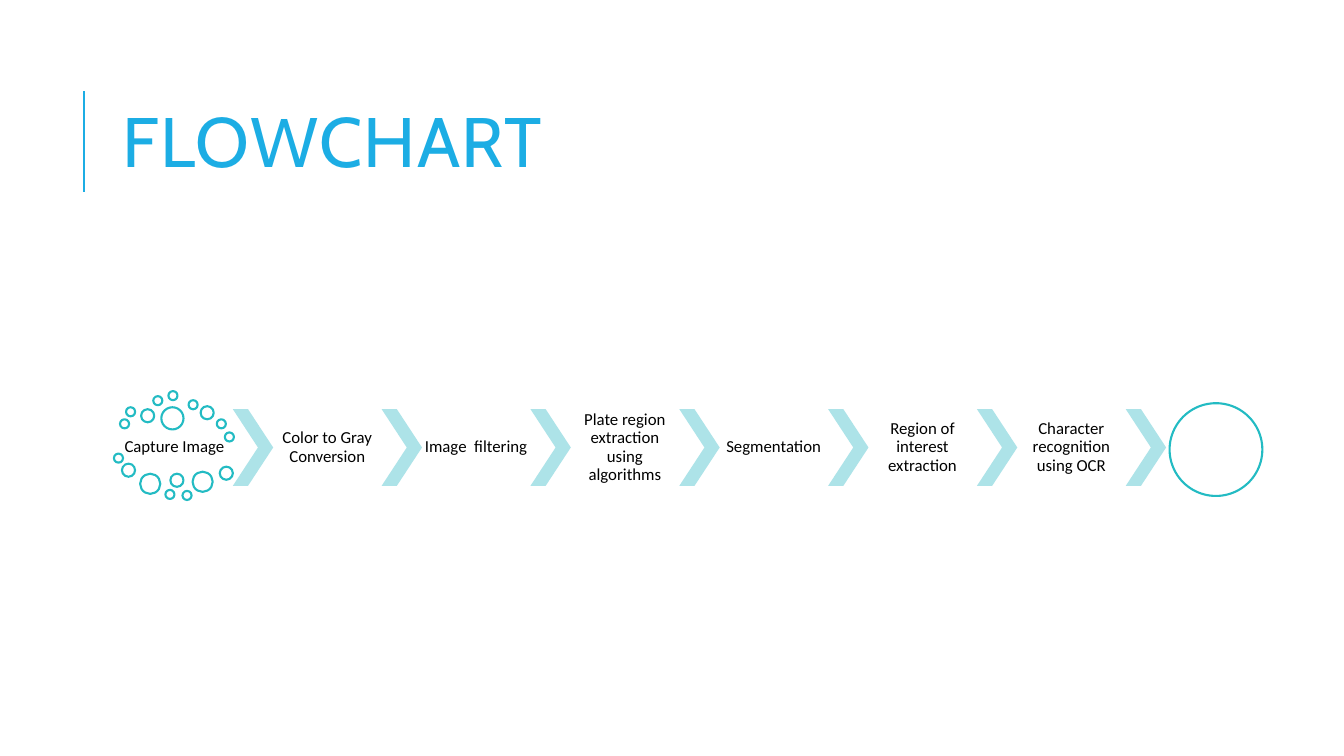
from pptx import Presentation
from pptx.dml.color import RGBColor
from pptx.enum.shapes import MSO_CONNECTOR as Conn, MSO_SHAPE as Shape
from pptx.enum.text import MSO_ANCHOR as Anchor, PP_ALIGN as Align
from pptx.util import Inches, Pt
from lxml.etree import SubElement
from pptx.oxml.ns import qn

TITLE = "FLOWCHART"
STEPS = [
    "Capture Image",
    "Color to Gray Conversion",
    "Image  filtering",
    "Plate region extraction using algorithms",
    "Segmentation",
    "Region of interest extraction",
    "Character recognition using OCR",
]
# Bubbles around the first step: diameter -> left and top of each
BUBBLES = {
    0.09: [(1.19, 4.16), (1.25, 4.04), (1.52, 3.93), (1.67, 3.88),
           (1.87, 3.97), (2.15, 4.16), (2.23, 4.29), (1.13, 4.5),
           (1.64, 4.86), (1.81, 4.87)],
    0.13: [(1.4, 4.06), (1.99, 4.03), (1.21, 4.6), (1.69, 4.7), (2.18, 4.63)],
    0.2: [(1.39, 4.7), (1.91, 4.68)],
    0.22: [(1.6, 4.04)],
}
GOAL = (11.6, 4, 0.92)
BLUE, TEAL, PALE, WHITE, BLACK = "1CADE4", "23BBC3", "ADE3E8", "FFFFFF", "000000"

ROW_TOP, ROW_H = 4.06, 0.76
STEP_W, ARROW_W = 1.08, 0.4
ARROW_X, PITCH = 2.31, 1.476
FIRST_X = 1.19


def color(code):
    return RGBColor.from_string(code)


def add_shape(kind, x, y, w, h, fill, line=None):
    shape = slide.shapes.add_shape(kind, Inches(x), Inches(y), Inches(w), Inches(h))
    shape.shadow.inherit = False
    shape.fill.solid()
    shape.fill.fore_color.rgb = color(fill)
    if line:
        shape.line.color.rgb = color(line)
        shape.line.width = Pt(1.5)
    else:
        shape.line.fill.background()
    return shape


def add_text(text, x, y, w, h, font, size, ink, space, align, pad=None):
    """Add a middle-anchored text box and return its run."""
    box = slide.shapes.add_textbox(Inches(x), Inches(y), Inches(w), Inches(h))
    frame = box.text_frame
    frame.word_wrap = True
    frame.vertical_anchor = Anchor.MIDDLE
    if pad is not None:
        frame.margin_left = frame.margin_right = Inches(pad)
        frame.margin_top = frame.margin_bottom = Inches(pad)
    para = frame.paragraphs[0]
    para.alignment = align
    para.line_spacing = space
    run = para.add_run()
    run.text = text
    run.font.name = font
    run.font.size = Pt(size)
    run.font.color.rgb = color(ink)
    return run


deck = Presentation()
deck.slide_width, deck.slide_height = Inches(13.33), Inches(7.5)
slide = deck.slides.add_slide(deck.slide_layouts[6])

rule = slide.shapes.add_connector(
    Conn.STRAIGHT, Inches(0.83), Inches(1.9), Inches(0.83), Inches(0.9))
rule.line.color.rgb = color(BLUE)
rule.line.width = Pt(1.5)
SubElement(rule._element.spPr, qn("a:effectLst"))

head = add_text(TITLE, 1.12, 0.64, 10.63, 1.64, "Cabin", 50, BLUE, 0.8, Align.LEFT)
head.font._element.set("spc", "100")

for i, step in enumerate(STEPS):
    x = ARROW_X + i * PITCH
    left = x - STEP_W if i else FIRST_X
    add_text(step, left, ROW_TOP, STEP_W, ROW_H,
             "Calibri", 12, BLACK, 0.9, Align.CENTER, 0.02)
    arrow = add_shape(Shape.CHEVRON, x, ROW_TOP, ARROW_W, ROW_H, PALE)
    arrow.adjustments[0] = 0.623

for size, spots in BUBBLES.items():
    for x, y in spots:
        add_shape(Shape.OVAL, x, y, size, size, WHITE, TEAL)

x, y, size = GOAL
add_shape(Shape.OVAL, x, y, size, size, WHITE, TEAL)

deck.save("out.pptx")
